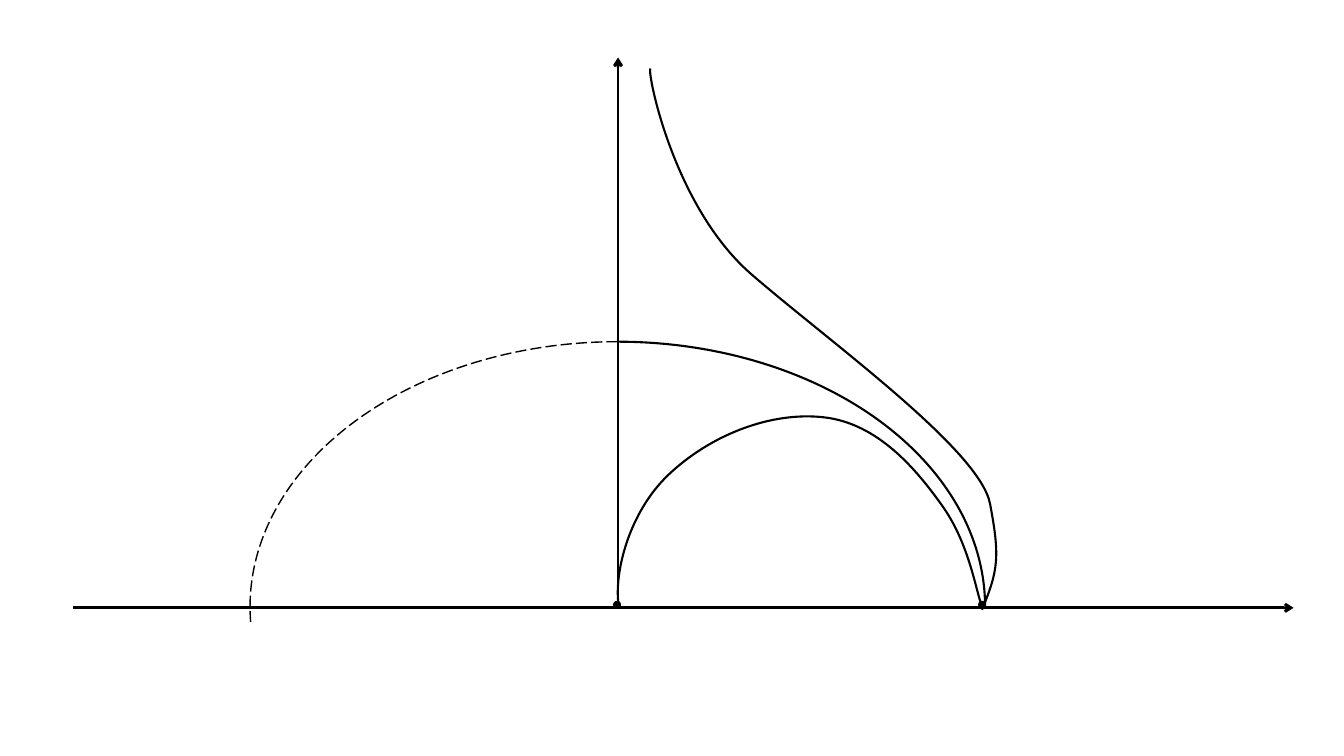
import pptx
import pptx.util
import pptx.dml.color
import pptx.enum.dml
import pptx.enum.shapes
import pptx.oxml
import pptx.oxml.ns
from pptx.util import Inches

BLACK = "000000"
ORIGIN_X, AXIS_Y = 6.13, 6.03


def color(hex_string):
    return pptx.dml.color.RGBColor.from_string(hex_string)


def outline(shape, width):
    shape.line.color.rgb = color(BLACK)
    shape.line.width = pptx.util.Pt(width)


presentation = pptx.Presentation()
presentation.slide_width = Inches(13.33)
presentation.slide_height = Inches(7.5)
slide = presentation.slides.add_slide(presentation.slide_layouts[6])
diagram = slide.shapes.add_group_shape().shapes

# Axes with arrowheads
for start_x, end_x, end_y in [(ORIGIN_X, ORIGIN_X, 0.57), (0.72, 12.83, AXIS_Y)]:
    axis = diagram.add_connector(
        pptx.enum.shapes.MSO_CONNECTOR.STRAIGHT,
        Inches(start_x), Inches(AXIS_Y), Inches(end_x), Inches(end_y))
    outline(axis, 2)
    arrowhead = pptx.oxml.parse_xml(
        f'<a:tailEnd {pptx.oxml.ns.nsdecls("a")} type="arrow"/>')
    axis.line._get_or_add_ln().append(arrowhead)
    axis._element.spPr.append(
        pptx.oxml.parse_xml(f'<a:effectLst {pptx.oxml.ns.nsdecls("a")}/>'))

# Two quarters of one ellipse: solid on the right, dashed and mirrored on the left
for mirrored, end_angle, width in [(False, 0, 1.5), (True, 1.415, 1)]:
    arc = diagram.add_shape(
        pptx.enum.shapes.MSO_SHAPE.ARC,
        Inches(2.48), Inches(3.39), Inches(7.29), Inches(5.26))
    arc.adjustments[0] = 162
    arc.adjustments[1] = end_angle
    arc.fill.background()
    outline(arc, width)
    arc.shadow.inherit = False
    if mirrored:
        arc.line.dash_style = pptx.enum.dml.MSO_LINE.LONG_DASH
        arc._element.spPr.xfrm.set("flipH", "1")

# Curves: a start point, then two control points and an end point per segment
outer_curve = [
    (9.74, 6.05),
    (9.9, 5.66), (9.92, 5.53), (9.82, 5),
    (9.72, 4.46), (8.21, 3.38), (7.44, 2.71),
    (6.68, 2.04), (6.42, 0.73), (6.45, 0.68),
]
inner_curve = [
    (9.73, 5.99),
    (9.67, 5.81), (9.6, 5.37), (9.34, 5.01),
    (9.09, 4.66), (8.71, 4.2), (8.17, 4.14),
    (7.64, 4.08), (7.04, 4.32), (6.63, 4.71),
    (6.23, 5.09), (6.08, 5.71), (6.14, 6.03),
]
for points in (outer_curve, inner_curve):
    start, *rest = [(Inches(x), Inches(y)) for x, y in points]
    builder = diagram.build_freeform(*start)
    builder.add_line_segments(rest, close=False)
    curve = builder.convert_to_shape()
    curve.fill.background()
    outline(curve, 1.5)
    curve.shadow.inherit = False

    # Turn every three straight segments into one Bézier segment
    segments = curve._element.findall(".//" + pptx.oxml.ns.qn("a:lnTo"))
    for first in range(0, len(segments), 3):
        bezier = pptx.oxml.parse_xml(
            f'<a:cubicBezTo {pptx.oxml.ns.nsdecls("a")}/>')
        segments[first].addprevious(bezier)
        for segment in segments[first:first + 3]:
            bezier.append(segment[0])
            segment.getparent().remove(segment)

# Points where the curves meet the horizontal axis
for left in (6.08, 9.7):
    dot = diagram.add_shape(
        pptx.enum.shapes.MSO_SHAPE.OVAL,
        Inches(left), Inches(5.96), Inches(0.08), Inches(0.08))
    dot.fill.solid()
    dot.fill.fore_color.rgb = color(BLACK)
    outline(dot, 1)
    dot.line.fill.background()
    dot.shadow.inherit = False

presentation.save("out.pptx")
